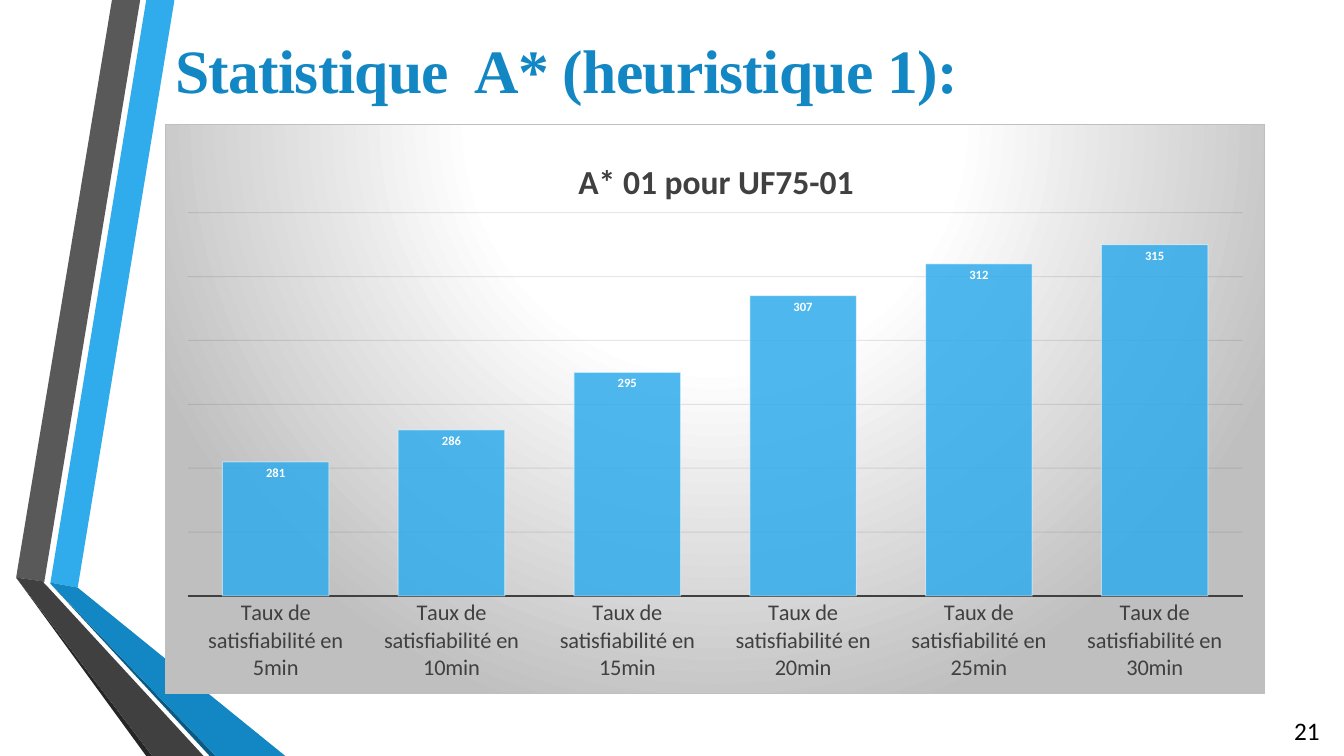
"""Build a slide with a column chart of satisfiability rates."""
import pptx
import pptx.chart.data
import pptx.dml.color
import pptx.enum.chart
import pptx.enum.text
import pptx.oxml
import pptx.oxml.ns
import pptx.util

WIDE = pptx.util.Inches(13.33)
HIGH = pptx.util.Inches(7.5)
NS = pptx.oxml.ns.nsdecls("a", "c")
BLUE = "30ACEC"
DEEP = "1287C3"
DARK = "404040"

RIBBONS = [
    (BLUE, [(3.75, 77.07), (5.78, 77.73), (12.98, 0), (10.88, 0)]),
    ("595959", [(10.43, 0), (8.33, 0), (1.2, 76.4), (3.3, 76.93)]),
    ("262626", [(1.2, 76.4), (10.88, 100), (11.33, 100)]),
    ("0C5A82", [(3.75, 77.2), (15.6, 100), (16.05, 100)]),
    (DEEP, [(3.75, 77.07), (3.75, 77.2), (16.05, 100), (21.23, 100),
            (5.78, 77.73)]),
    (DARK, [(15.15, 100), (3.6, 77.73), (3.23, 77.07), (3.3, 76.93),
            (1.2, 76.4), (11.33, 100)]),
]
RATES = {5: 281, 10: 286, 15: 295, 20: 307, 25: 312, 30: 315}


def tint(code):
    """Turn a hex string into a colour."""
    return pptx.dml.color.RGBColor.from_string(code)


def spot(x, y):
    """Turn percentages of the slide's size into a point."""
    return round(WIDE * x / 100), round(HIGH * y / 100)


def style(font, size, color, bold=False, face="Calibri"):
    """Format a font."""
    font.name, font.size, font.bold = face, pptx.util.Pt(size), bold
    font.color.rgb = tint(color)


def rule(line, color, width, alpha=100):
    """Format a line, with its opacity in percent."""
    line.color.rgb = tint(color)
    line.width = pptx.util.Pt(width)
    fade(line.fill, alpha)


def fade(fill, alpha):
    """Set the opacity of a solid fill in percent."""
    node = fill._xPr.find(".//" + pptx.oxml.ns.qn("a:srgbClr"))
    node.append(pptx.oxml.parse_xml(f'<a:alpha {NS} val="{alpha * 1000}"/>'))


def write(slide, text, at, size, wrap=True, space=0, **look):
    """Add a text box at a place given in percent."""
    box = slide.shapes.add_textbox(*spot(*at[:2]), *spot(*at[2:]))
    frame = box.text_frame
    frame.word_wrap = wrap
    frame.auto_size = pptx.enum.text.MSO_AUTO_SIZE.SHAPE_TO_FIT_TEXT
    run = frame.paragraphs[0].add_run()
    run.text = text
    style(run.font, size, **look)
    if space:
        run._r.get_or_add_rPr().set("spc", str(round(space * 100)))


def ribbon(slide, color, points):
    """Add a filled outline through points given in percent."""
    first, *rest = [spot(*point) for point in points]
    pen = slide.shapes.build_freeform(*first)
    pen.add_line_segments(rest, close=True)
    shape = pen.convert_to_shape()
    shape.shadow.inherit = False
    shape.fill.solid()
    shape.fill.fore_color.rgb = tint(color)
    shape.line.fill.background()


def layout(x, y, w=None, h=None):
    """Make a manual chart layout from shares of the chart's size."""
    inner = '<c:layoutTarget val="inner"/>' if w else ""
    parts = [("xMode", "edge"), ("yMode", "edge"), ("x", x), ("y", y)]
    parts += [("w", w), ("h", h)] if w else []
    body = "".join(f'<c:{tag} val="{val}"/>' for tag, val in parts)
    return pptx.oxml.parse_xml(
        f"<c:layout {NS}><c:manualLayout>{inner}{body}"
        "</c:manualLayout></c:layout>")


def paint(chart):
    """Give the chart area its round gradient and border."""
    stops = "".join(
        f'<a:gs pos="{pos * 1000}"><a:srgbClr val="{code}"/></a:gs>'
        for pos, code in [(0, "FFFFFF"), (39, "FFFFFF"), (100, "BFBFBF")])
    look = pptx.oxml.parse_xml(
        f"<c:spPr {NS}><a:gradFill><a:gsLst>{stops}</a:gsLst>"
        '<a:path path="circle"><a:fillToRect l="50000" t="-80000" '
        'r="50000" b="180000"/></a:path></a:gradFill><a:ln w="9525">'
        '<a:solidFill><a:srgbClr val="BFBFBF"/></a:solidFill></a:ln></c:spPr>')
    chart._chartSpace.chart.addnext(look)


def head(chart, text):
    """Add the chart title."""
    frame = chart.chart_title.text_frame
    frame.text = text
    style(frame.paragraphs[0].runs[0].font, 24, DARK, True)
    title = chart._chartSpace.chart.find(pptx.oxml.ns.qn("c:title"))
    for old in title.findall(pptx.oxml.ns.qn("c:layout")):
        title.remove(old)
    title.find(pptx.oxml.ns.qn("c:tx")).addnext(layout(0.37, 0.05))
    chart.chart_title.include_in_layout = False


def axes(chart):
    """Format both axes and the grid."""
    kind = pptx.enum.chart.XL_TICK_MARK.NONE
    cat, val = chart.category_axis, chart.value_axis
    cat.major_tick_mark = val.major_tick_mark = kind
    style(cat.tick_labels.font, 16, DARK)
    rule(cat.format.line, DARK, 1.5)
    val.minimum_scale, val.maximum_scale, val.major_unit = 260, 320, 10
    val.visible = False
    rule(val.major_gridlines.format.line, "0D0D0D", 0.75, 10)


def bars(plot):
    """Format the columns and their labels."""
    plot.gap_width = 65
    plot.vary_by_categories = False
    row = plot.series[0]
    row.format.fill.solid()
    row.format.fill.fore_color.rgb = tint(BLUE)
    fade(row.format.fill, 85)
    rule(row.format.line, "FFFFFF", 0.75, 50)
    labels = row.data_labels
    labels.show_value = True
    labels.position = pptx.enum.chart.XL_LABEL_POSITION.INSIDE_END
    style(labels.font, 9, "FFFFFF", True)


def graph(slide, at):
    """Add the column chart at a place given in percent."""
    data = pptx.chart.data.CategoryChartData()
    data.categories = [f"Taux de satisfiabilité en {m}min" for m in RATES]
    data.add_series("Series 1", RATES.values())
    chart = slide.shapes.add_chart(
        pptx.enum.chart.XL_CHART_TYPE.COLUMN_CLUSTERED,
        *spot(*at[:2]), *spot(*at[2:]), data).chart
    chart.has_legend = False
    style(chart.font, 10, "000000")
    paint(chart)
    head(chart, "A* 01 pour UF75-01")
    axes(chart)
    bars(chart.plots[0])
    area = chart._chartSpace.chart.plotArea
    for old in area.findall(pptx.oxml.ns.qn("c:layout")):
        area.remove(old)
    area.insert(0, layout(0.02, 0.155, 0.96, 0.673))


def main():
    """Build and save the slide."""
    deck = pptx.Presentation()
    deck.slide_width, deck.slide_height = WIDE, HIGH
    slide = deck.slides.add_slide(deck.slide_layouts[6])
    for color, points in RIBBONS:
        ribbon(slide, color, points)
    write(slide, "Statistique  A* (heuristique 1):", (12.3, 3.6, 61.35, 11.2),
          44, wrap=False, space=-0.5, color=DEEP, bold=True,
          face="Times New Roman")
    graph(slide, (12.3, 16.4, 81.83, 75.47))
    write(slide, "21", (95.55, 94, 4.05, 5.33), 18, color="000000")
    deck.save("out.pptx")


if __name__ == "__main__":
    main()
